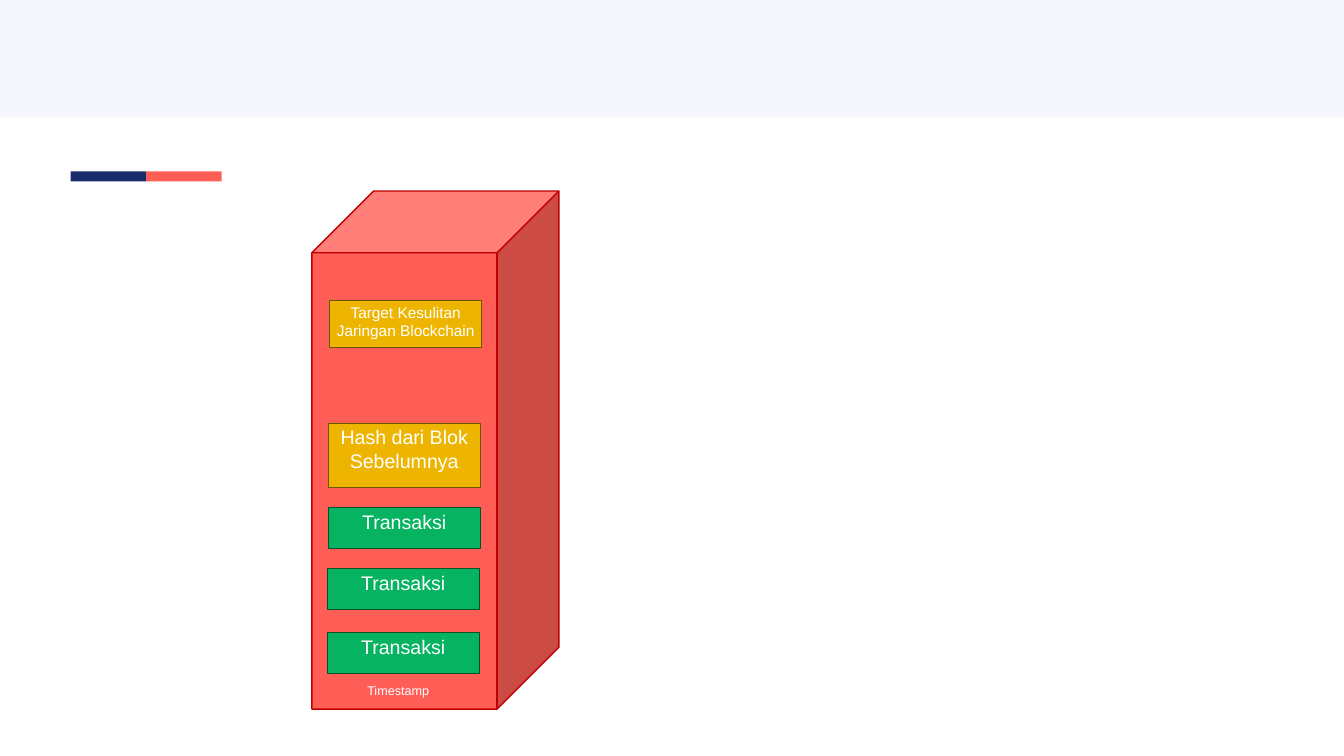
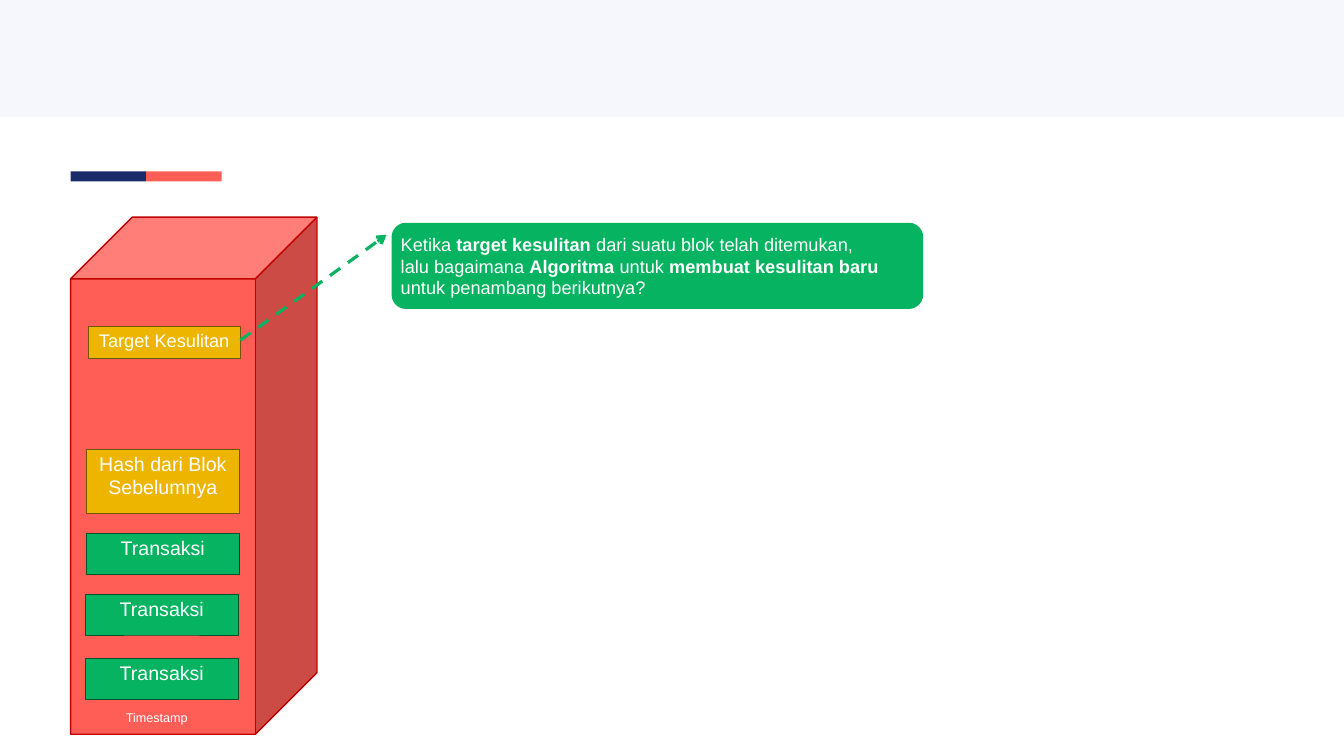
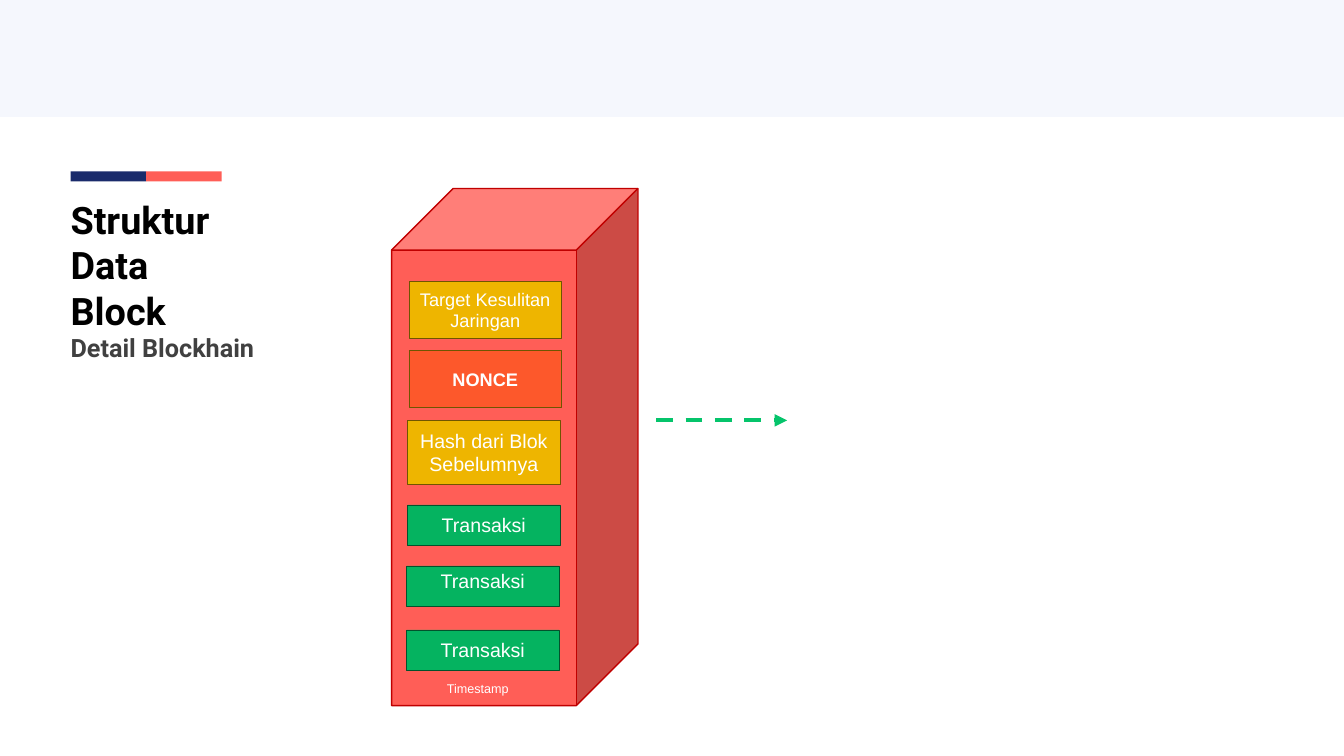
from lxml.etree import SubElement
from pptx import Presentation
from pptx.dml.color import RGBColor
from pptx.enum.dml import MSO_LINE
from pptx.enum.shapes import MSO_CONNECTOR, MSO_SHAPE
from pptx.enum.text import MSO_ANCHOR, MSO_AUTO_SIZE, PP_ALIGN
from pptx.oxml.ns import qn
from pptx.util import Emu, Pt

EMU_PER_PX = 9144  # 100 px to the inch
TITLE_ONLY, BLANK = 5, 6

COLORS = {
    "band": "F5F7FD",
    "navy": "1A2B6B",
    "coral": "FF5E57",
    "cube_edge": "C00000",
    "green": "05B360",
    "green_edge": "02522C",
    "bright_green": "05C46B",
    "yellow": "EEB500",
    "yellow_edge": "705500",
    "orange": "FD582B",
    "white": "FFFFFF",
    "black": "000000",
    "gray": "404040",
}


def px(length):
    return Emu(length * EMU_PER_PX)


def rgb(name):
    return RGBColor.from_string(COLORS[name])


class BlockDeck:
    """Holds the shared style and the page being drawn."""

    def __init__(self):
        self.deck = Presentation()
        self.deck.slide_width, self.deck.slide_height = px(2667), px(1500)
        self.page = None

    def new_page(self, layout=BLANK):
        self.page = self.deck.slides.add_slide(self.deck.slide_layouts[layout])
        shapes = self.page.shapes
        self.shape(shapes, (0, 0, 2667, 232), "band")
        self.shape(shapes, (140, 340, 150, 20), "navy")
        self.shape(shapes, (290, 340, 150, 20), "coral")

    def shape(self, shapes, at, fill, edge=None, width=0.75, kind=MSO_SHAPE.RECTANGLE):
        box = shapes.add_shape(kind, *map(px, at))
        box.shadow.inherit = False
        box.fill.solid()
        box.fill.fore_color.rgb = rgb(fill)
        if edge:
            box.line.color.rgb = rgb(edge)
            box.line.width = Pt(width)
        else:
            box.line.fill.background()
        return box

    def style(self, span, size, color="white", font="Arial", bold=False):
        span.font.size = Pt(size)
        span.font.name = font
        span.font.bold = bold
        span.font.color.rgb = rgb(color)

    def put_text(self, box, text, size, align=PP_ALIGN.LEFT, anchor=MSO_ANCHOR.TOP):
        """Fill a box line by line; *stars* enclose bold words."""
        frame = box.text_frame
        frame.vertical_anchor = anchor
        for index, line in enumerate(text.split("\n")):
            para = frame.add_paragraph() if index else frame.paragraphs[0]
            para.alignment = align
            for part, words in enumerate(line.split("*")):
                if words:
                    span = para.add_run()
                    span.text = words
                    self.style(span, size, bold=part % 2 == 1)

    def title(self, at, lines):
        """Each line is (text, size, color)."""
        box = self.page.shapes.title
        box.left, box.top, box.width, box.height = map(px, at)
        frame = box.text_frame
        frame.word_wrap = True
        frame.auto_size = MSO_AUTO_SIZE.NONE
        frame.vertical_anchor = MSO_ANCHOR.TOP
        frame.text = "\n".join(text for text, _, _ in lines)
        for para, (_, size, color) in zip(frame.paragraphs, lines):
            para.alignment = PP_ALIGN.LEFT
            self.style(para.runs[0], size, color, "Roboto", True)

    def label(self, shapes, at, text, size):
        box = shapes.add_textbox(*map(px, at))
        box.text_frame.word_wrap = False
        box.text_frame.auto_size = MSO_AUTO_SIZE.SHAPE_TO_FIT_TEXT
        self.put_text(box, text, size)

    def block(self, shapes, left, top, size, fields):
        """Cube with its fields and timestamp.

        Each field is (x, y, height, fill, edge, text, size, anchor), from the cube's corner.
        """
        self.shape(shapes, (left, top, *size), "coral", "cube_edge", 2, MSO_SHAPE.CUBE)
        for x, y, height, fill, edge, text, points, anchor in fields:
            box = self.shape(shapes, (left + x, top + y, 302, height), fill, edge)
            self.put_text(box, text, points, PP_ALIGN.CENTER, anchor)
        self.label(shapes, (left + 100, top + 972, 144, 40), "Timestamp", 18)

    def arrow(self, start, end, color, width, head):
        line = self.page.shapes.add_connector(MSO_CONNECTOR.STRAIGHT, *map(px, start + end))
        line.line.color.rgb = rgb(color)
        line.line.width = Pt(width)
        line.line.dash_style = MSO_LINE.DASH
        properties = line._element.spPr
        SubElement(properties.find(qn("a:ln")), qn("a:tailEnd"), type=head)
        SubElement(properties, qn("a:effectLst"))


def common_fields(anchor, middle_anchor=MSO_ANCHOR.TOP):
    """Three transactions and the previous hash, bottom to top."""
    rows = [(30, 876, anchor), (30, 749, middle_anchor), (32, 628, anchor)]
    fields = [(x, y, 80, "green", "green_edge", "Transaksi", 28, place) for x, y, place in rows]
    fields.append((32, 460, 127, "yellow", "yellow_edge", "Hash dari Blok\nSebelumnya", 28, anchor))
    return fields


def target_field(y, height, text, size, anchor):
    return (35, y, height, "yellow", "yellow_edge", text, size, anchor)


def main():
    top, middle = MSO_ANCHOR.TOP, MSO_ANCHOR.MIDDLE
    show = BlockDeck()

    # Block with the network's difficulty target
    show.new_page()
    target = target_field(217, 94, "Target Kesulitan\nJaringan Blockchain", 22, top)
    show.block(show.page.shapes, 619, 379, (490, 1028), common_fields(top) + [target])

    # Question about the next difficulty
    show.new_page()
    target = target_field(217, 63, "Target Kesulitan", 26, top)
    group = show.page.shapes.add_group_shape()
    show.block(group.shapes, 140, 431, (489, 1026), common_fields(top) + [target])
    show.arrow((477, 675), (767, 466), "green", 4.5, "arrow")
    question = show.shape(show.page.shapes, (777, 442, 1055, 171), "green",
                          kind=MSO_SHAPE.ROUNDED_RECTANGLE)
    question.text_frame.word_wrap = True
    show.put_text(question,
                  "Ketika *target kesulitan *dari suatu blok telah ditemukan,\n"
                  "lalu bagaimana *Algoritma *untuk *membuat kesulitan baru *"
                  "untuk penambang berikutnya?", 26, anchor=middle)

    # Block structure with the nonce
    show.new_page(TITLE_ONLY)
    show.title((130, 385, 1989, 149),
               [(word, 54, "black") for word in ("Struktur", "Data", "Block")]
               + [("Detail Blockhain", 36, "gray")])
    target = target_field(184, 113, "Target Kesulitan\nJaringan", 26, middle)
    nonce = (35, 322, 113, "orange", "yellow_edge", "*NONCE*", 26, middle)
    group = show.page.shapes.add_group_shape()
    show.block(group.shapes, 777, 374, (489, 1026),
               common_fields(middle, top) + [target, nonce])
    show.arrow((1302, 834), (1562, 834), "bright_green", 6, "triangle")

    show.deck.save("out.pptx")


if __name__ == "__main__":
    main()
